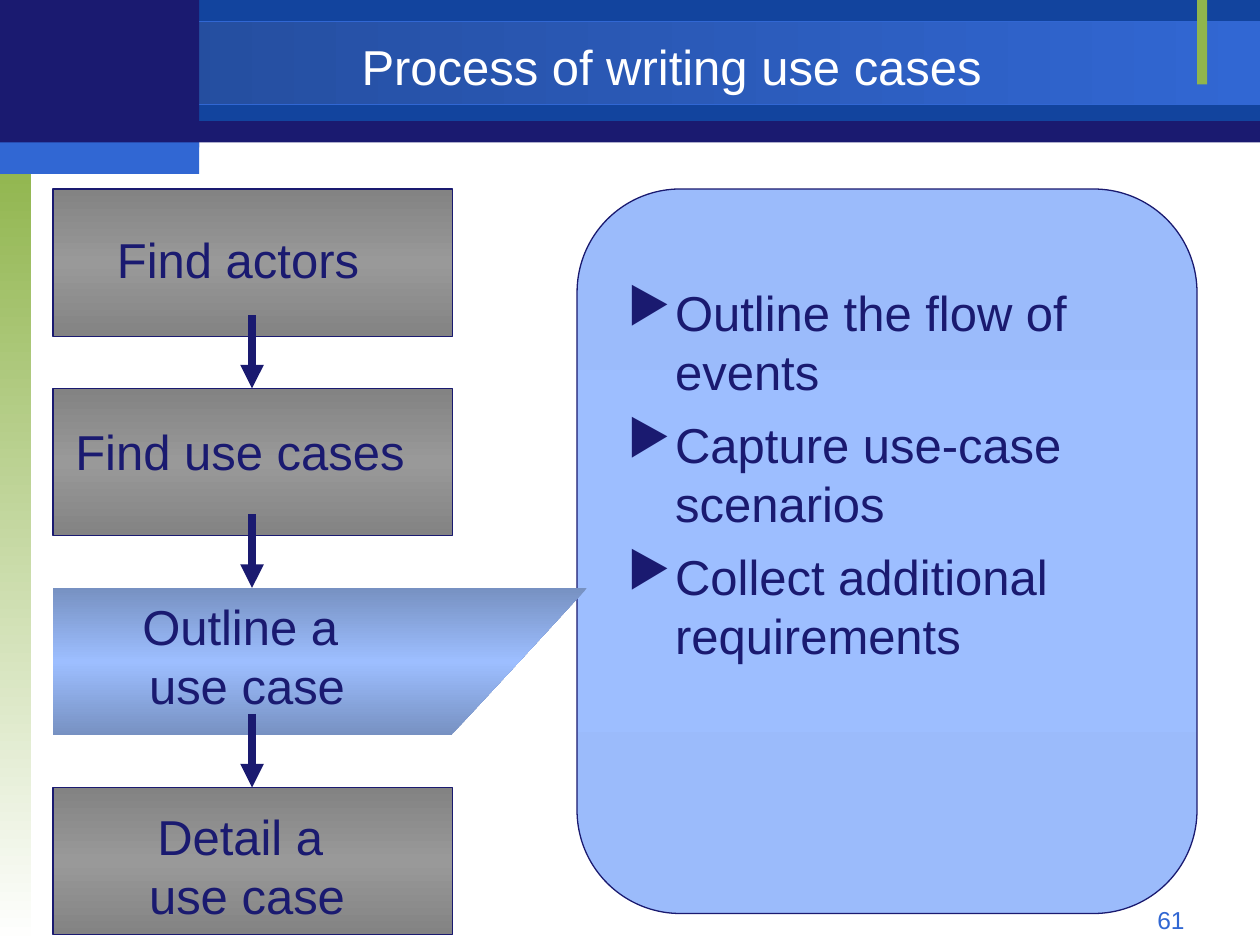
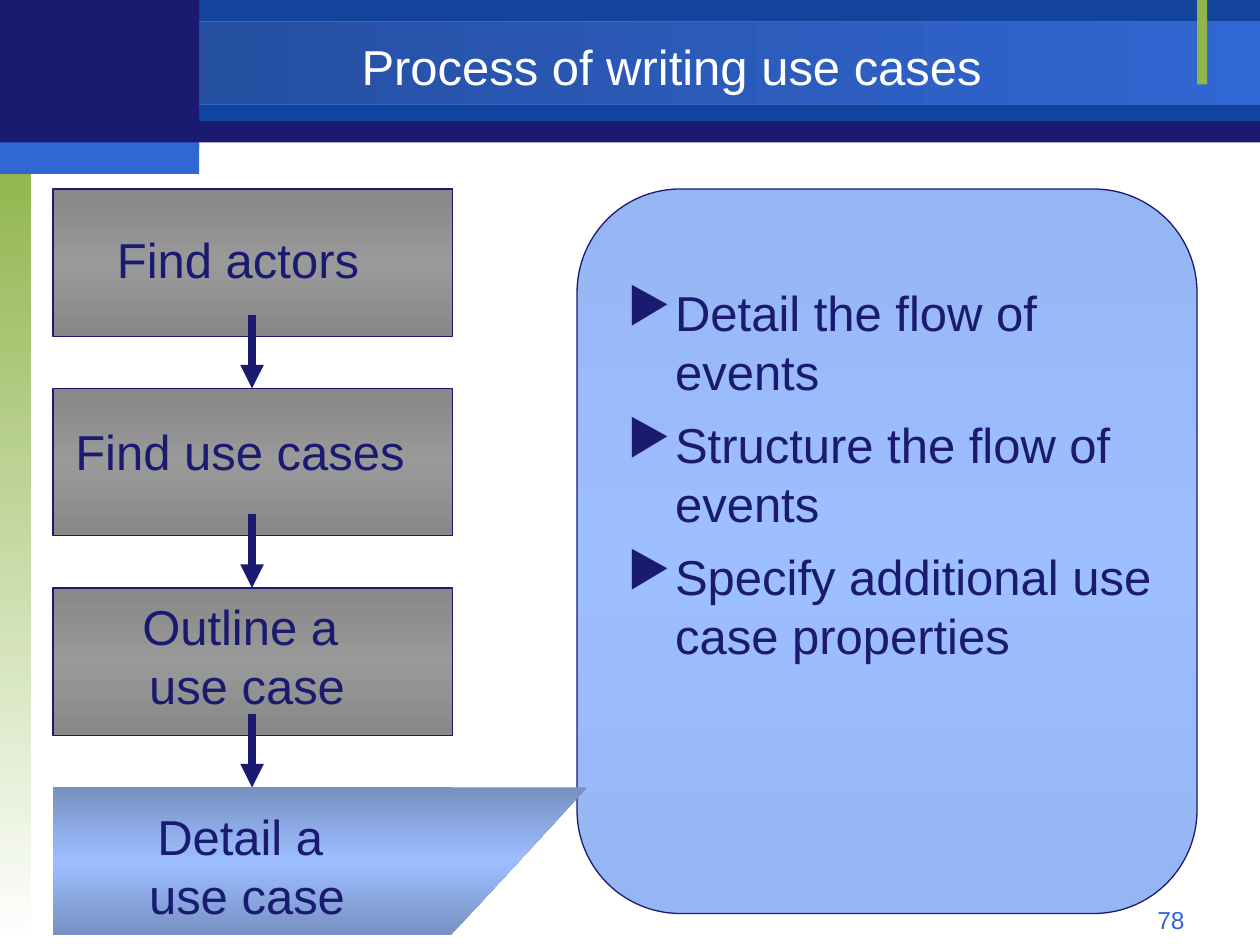
from dataclasses import dataclass

from lxml import etree
from pptx import Presentation
from pptx.dml.color import RGBColor
from pptx.enum.shapes import MSO_CONNECTOR, MSO_SHAPE
from pptx.enum.text import MSO_ANCHOR, PP_ALIGN
from pptx.oxml.ns import qn
from pptx.shapes.autoshape import Shape
from pptx.slide import Slide
from pptx.text.text import TextFrame
from pptx.util import Inches, Pt

RECT, ROUND = MSO_SHAPE.RECTANGLE, MSO_SHAPE.ROUNDED_RECTANGLE
WEDGE, LINE = MSO_SHAPE.ISOSCELES_TRIANGLE, MSO_CONNECTOR.STRAIGHT
LEFT, MID, RIGHT = PP_ALIGN.LEFT, PP_ALIGN.CENTER, PP_ALIGN.RIGHT

NAVY = RGBColor(0x1A, 0x1A, 0x70)
COBALT = RGBColor(0x12, 0x44, 0x9E)
DEEP = RGBColor(0x23, 0x4A, 0x97)
BLUE = RGBColor(0x31, 0x67, 0xD3)
GREEN = RGBColor(0x90, 0xB5, 0x4D)
WHITE = RGBColor(0xFF, 0xFF, 0xFF)
SKY = RGBColor(0x9D, 0xBE, 0xFF)
STEEL = RGBColor(0x77, 0x91, 0xC2)
GRAY = RGBColor(0x99, 0x99, 0x99)

FONT = "Arial"
TITLE = "Process of writing use cases"
Box = tuple[float, float, float, float]
Fill = tuple[RGBColor, ...]

# Step column
STEP_X, STEP_W, STEP_H = 0.42, 3.17, 1.17
FIRST_Y, PITCH = 1.5, 4.75 / 3
ARROW_X, ARROW_DY = 2, 1.0


@dataclass
class Band:
    box: Box
    fill: Fill
    edge: RGBColor | None = None
    angle: int = 270


@dataclass
class Step:
    text: str
    left: float
    drop: float
    width: float = 2.58
    align: PP_ALIGN = MID


@dataclass
class Page:
    number: str
    active: int
    rim: RGBColor
    shade: RGBColor
    points: list[str]


BANDS = [
    Band((0, 0.01, 10, 1.12), (NAVY,)),
    Band((1.58, 0, 8.42, 0.96), (COBALT,)),
    Band((0, 0.17, 10, 0.66), (DEEP, BLUE), BLUE, 0),
    Band((0, 1.25, 0.25, 6.25), (GREEN, WHITE)),
    Band((9.5, 0, 0.08, 0.67), (GREEN,)),
    Band((0, 0, 1.58, 1.17), (NAVY,)),
    Band((0, 1.13, 1.58, 0.25), (BLUE,)),
]

STEPS = [
    Step("Find actors", 0.83, 0.25, align=LEFT),
    Step("Find use cases", 0.5, 0.19, 3.08, LEFT),
    Step("Outline a \vuse case", 0.67, 0),
    Step("Detail a \vuse case", 0.67, 0.08),
]

PAGES = [
    Page("61", 2, RGBColor(0x9B, 0xBB, 0xFB), RGBColor(0x83, 0x83, 0x83), [
        "Outline the flow of events",
        "Capture use-case scenarios",
        "Collect additional requirements",
    ]),
    Page("78", 3, RGBColor(0x96, 0xB5, 0xF3), RGBColor(0x88, 0x88, 0x88), [
        "Detail the flow of events",
        "Structure the flow of events",
        "Specify additional use case properties",
    ]),
]


def paint(shape: Shape, fill: Fill, angle: int) -> None:
    """Fill with one colour, or with evenly spaced gradient stops."""
    if len(fill) == 1:
        shape.fill.solid()
        shape.fill.fore_color.rgb = fill[0]
        return
    shape.fill.gradient()
    shape.fill.gradient_angle = angle
    stops = next(shape.element.iter(qn("a:gsLst")))
    for old in list(stops):
        stops.remove(old)
    for i, color in enumerate(fill):
        pos = 100000 * i // (len(fill) - 1)
        stop = etree.SubElement(stops, qn("a:gs"), pos=str(pos))
        etree.SubElement(stop, qn("a:srgbClr"), val=str(color))


def add_box(slide: Slide, kind: MSO_SHAPE, box: Box, fill: Fill,
            edge: RGBColor | None = None, angle: int = 270) -> Shape:
    shape = slide.shapes.add_shape(kind, *map(Inches, box))
    shape.shadow.inherit = False
    paint(shape, fill, angle)
    if edge is None:
        shape.line.fill.background()
    else:
        shape.line.color.rgb = edge
        shape.line.width = Pt(0.75)
    return shape


def add_text(slide: Slide, box: Box, lines: list[str], size: float = 28,
             color: RGBColor = NAVY, align: PP_ALIGN = LEFT) -> TextFrame:
    frame = slide.shapes.add_textbox(*map(Inches, box)).text_frame
    frame.word_wrap = True
    frame.text = "\n".join(lines)
    for para in frame.paragraphs:
        para.alignment = align
        for run in para.runs:
            run.font.name = FONT
            run.font.size = Pt(size)
            run.font.color.rgb = color
    return frame


def set_lines(frame: TextFrame) -> None:
    """Give body text its looser line pitch."""
    frame.margin_top = Inches(0.07)
    for para in frame.paragraphs:
        para.line_spacing = Pt(33.6)


def add_arrow(slide: Slide, top: float, end: float) -> None:
    x = Inches(ARROW_X)
    arrow = slide.shapes.add_connector(LINE, x, Inches(top), x, Inches(end))
    arrow.line.color.rgb = NAVY
    arrow.line.width = Pt(4.5)
    etree.SubElement(arrow.line._get_or_add_ln(), qn("a:tailEnd"), type="triangle")
    etree.SubElement(arrow.element.spPr, qn("a:effectLst"))


def add_frame(slide: Slide, number: str) -> None:
    """Draw the bands, title and page number."""
    for band in BANDS:
        add_box(slide, RECT, band.box, band.fill, band.edge, band.angle)
    title = add_text(slide, (1.58, 0.23, 7.5, 0.58), [TITLE], color=WHITE, align=MID)
    title.vertical_anchor = MSO_ANCHOR.MIDDLE
    add_text(slide, (7.17, 7.13, 2.33, 0.27), [number], 14, BLUE, RIGHT)


def add_steps(slide: Slide, page: Page) -> None:
    tops = [FIRST_Y + i * PITCH for i in range(len(STEPS))]
    glow = (STEEL, SKY, STEEL)
    for i, (step, top) in enumerate(zip(STEPS, tops)):
        box = (STEP_X, top, STEP_W, STEP_H)
        if i == page.active:
            add_box(slide, RECT, box, glow)
            # Wedge that points to the panel
            wedge = add_box(slide, WEDGE, (3.58, top, 1.08, STEP_H), glow)
            wedge.adjustments[0] = 0
            wedge.element.spPr.find(qn("a:xfrm")).set("flipV", "1")
        else:
            add_box(slide, RECT, box, (page.shade, GRAY, page.shade), NAVY)
        high = 1.03 if "\v" in step.text else 0.57
        place = (step.left, top + step.drop, step.width, high)
        set_lines(add_text(slide, place, [step.text], align=step.align))
    for top, end in zip(tops, tops[1:]):
        add_arrow(slide, top + ARROW_DY, end)


def add_points(slide: Slide, points: list[str]) -> None:
    frame = add_text(slide, (4.75, 2.17, 4.58, 4.49), points)
    set_lines(frame)
    for i, para in enumerate(frame.paragraphs):
        if i:
            para.space_before = Pt(8.4)
        props = para._p.get_or_add_pPr()
        props.set("marL", str(Inches(0.51)))
        props.set("indent", str(Inches(-0.38)))
        tint = etree.SubElement(props, qn("a:buClr"))
        etree.SubElement(tint, qn("a:srgbClr"), val=str(NAVY))
        etree.SubElement(props, qn("a:buChar"), char="▶")


def main() -> None:
    deck = Presentation()
    deck.slide_width, deck.slide_height = Inches(10), Inches(7.5)
    for page in PAGES:
        slide = deck.slides.add_slide(deck.slide_layouts[6])
        # Panel behind the bullet points
        add_box(slide, ROUND, (4.58, 1.5, 4.92, 5.75), (page.rim, SKY, page.rim), NAVY)
        add_frame(slide, page.number)
        add_steps(slide, page)
        add_points(slide, page.points)
    deck.save("out.pptx")


if __name__ == "__main__":
    main()
